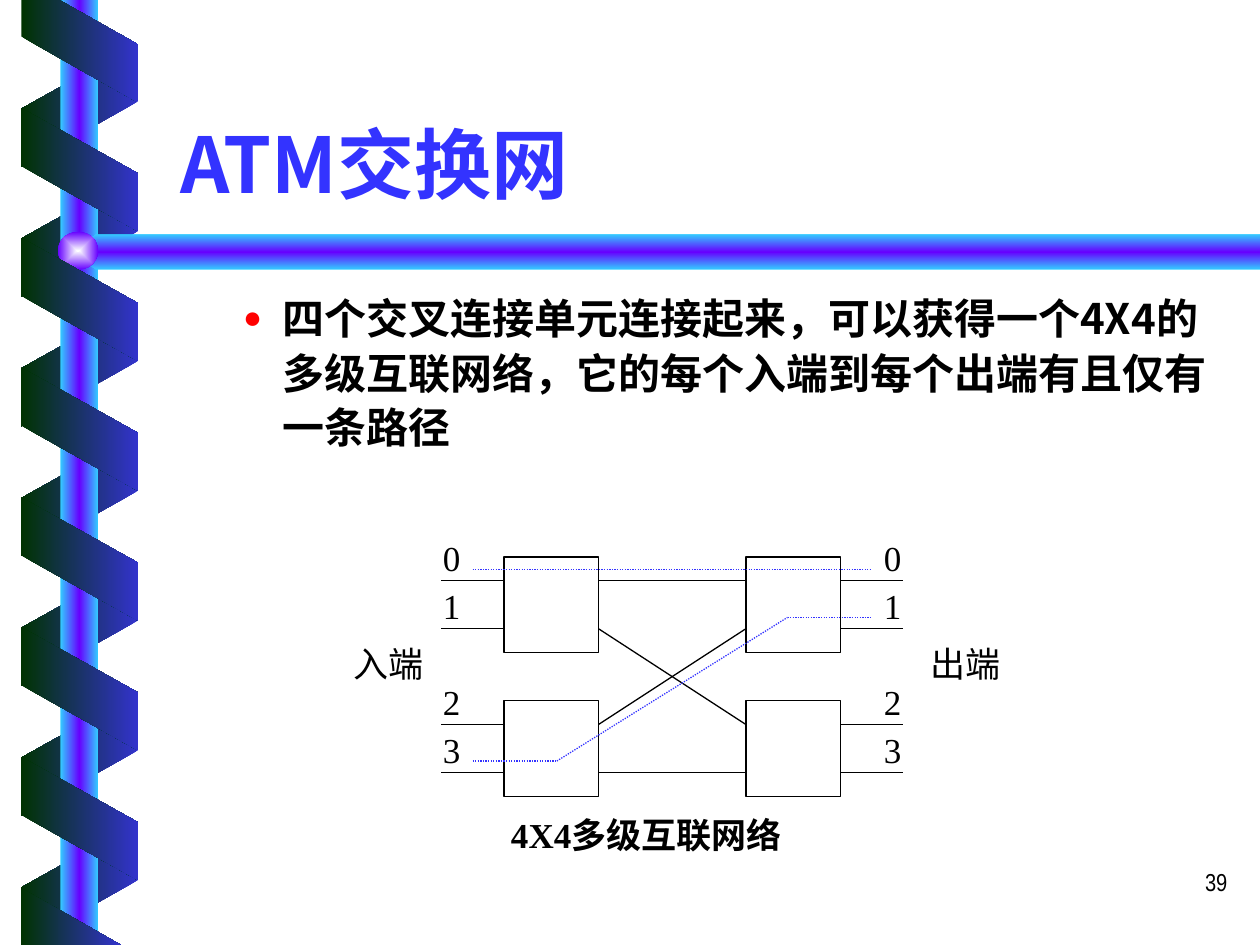
import lxml.etree
import pptx
import pptx.dml.color
import pptx.enum.dml
import pptx.enum.shapes
import pptx.enum.text
import pptx.oxml
import pptx.oxml.ns
import pptx.util

Inches = pptx.util.Inches
Pt = pptx.util.Pt
SHAPE = pptx.enum.shapes.MSO_SHAPE
ALIGN = pptx.enum.text.PP_ALIGN
ANCHOR = pptx.enum.text.MSO_ANCHOR
FIT = pptx.enum.text.MSO_AUTO_SIZE
NS = 'xmlns:a="http://schemas.openxmlformats.org/drawingml/2006/main"'
SANS = "Noto Sans CJK SC"
SERIF = "Times New Roman"
BLACK, BLUE = "000000", "3333FF"
GLOW = ("33CCFF", "6600FF", "33CCFF")
TWIST = ("003300", "3333CC")


def color(code):
    return pptx.dml.color.RGBColor.from_string(code)


def write(frame, text, font=SERIF, size=20, tint=BLACK, bold=False,
          align=ALIGN.LEFT, anchor=ANCHOR.TOP, gap=None, wrap=True):
    frame.word_wrap = wrap
    frame.vertical_anchor = anchor
    if gap is not None:
        frame.margin_left = frame.margin_right = Inches(gap)
        frame.margin_top = frame.margin_bottom = Inches(gap)
    para = frame.paragraphs[0]
    para.alignment = align
    para.space_before = Pt(0)
    run = para.add_run()
    run.text = text
    run.font.name = font
    run.font.size = Pt(size)
    run.font.bold = bold
    run.font.color.rgb = color(tint)
    east = lxml.etree.SubElement(run.font._element, pptx.oxml.ns.qn("a:ea"))
    east.set("typeface", SANS)
    run.font._element.find(pptx.oxml.ns.qn("a:latin")).addnext(east)
    return para


def label(slide, text, x, y, w, h, **style):
    box = slide.shapes.add_textbox(Inches(x), Inches(y), Inches(w), Inches(h))
    write(box.text_frame, text, **style)
    return box


def shade(shape, tones, angle=0, burst=False):
    shape.shadow.inherit = False
    shape.line.fill.background()
    shape.fill.background()
    last = len(tones) - 1
    stops = "".join(
        f'<a:gs pos="{100000 * i // last}"><a:srgbClr val="{tone}"/></a:gs>'
        for i, tone in enumerate(tones))
    way = f'<a:lin ang="{angle * 60000}" scaled="0"/>'
    if burst:
        way = ('<a:path path="rect"><a:fillToRect l="50000" t="50000" '
               'r="50000" b="50000"/></a:path>')
    grad = pptx.oxml.parse_xml(
        f'<a:gradFill {NS} rotWithShape="0"><a:gsLst>{stops}</a:gsLst>{way}</a:gradFill>')
    props = shape.element.spPr
    props.replace(props.find(pptx.oxml.ns.qn("a:noFill")), grad)


def solid(slide, kind, x, y, w, h):
    return slide.shapes.add_shape(kind, Inches(x), Inches(y), Inches(w), Inches(h))


def outline(slide, points, tones, angle=0):
    spots = [(Inches(x), Inches(y)) for x, y in points]
    pen = slide.shapes.build_freeform(*spots[0])
    pen.add_line_segments(spots[1:], close=True)
    shade(pen.convert_to_shape(), tones, angle)


def twist(slide, x, y, back=False):
    band = solid(slide, SHAPE.PARALLELOGRAM, x, y, 0.98, 0.93)
    band.adjustments[0] = 0.56
    band.rotation = 90 if back else 270
    if back:
        band.element.spPr.xfrm.set("flipH", "1")
    shade(band, TWIST[::-1] if back else TWIST)


def spiral(slide, x, y, w, h):
    step = 1.03
    for i in range(7):
        twist(slide, x, y + 0.37 + step * i, back=True)
    shade(solid(slide, SHAPE.RECTANGLE, x + 0.34, y, 0.3, h), GLOW)
    beam(slide, x + 0.46, y + 1.86, w - x - 0.46, 0.28)
    ball = solid(slide, SHAPE.OVAL, x + 0.32, y + 1.84, 0.32, 0.3)
    shade(ball, ("FEFFFF", "6600FF"), burst=True)
    for i in range(6):
        twist(slide, x, y + 0.88 + step * i)
    left, right = x + 0.03, x + 0.95
    outline(slide, [(left, y), (left, y + 0.29), (right, y + 0.81),
                    (right, y + 0.35), (x + 0.33, y)], TWIST)
    outline(slide, [(x + 0.82, h), (left, h - 0.45), (left, h)], TWIST)


def beam(slide, x, y, w, h):
    tip, end = x + 0.16, x + w
    outline(slide, [(end, y), (tip, y), (x, y + h / 2), (tip, y + h), (end, y + h)],
            GLOW, 90)


def place(slide, shape, x, y, w, h):
    shape.left, shape.top = Inches(x), Inches(y)
    shape.width, shape.height = Inches(w), Inches(h)
    slide.shapes.element.append(shape.element)


def head(slide, x, y, w, h):
    title = slide.shapes.title
    place(slide, title, x, y, w, h)
    write(title.text_frame, "ATM交换网", font=SANS, size=44, tint=BLUE,
          bold=True, anchor=ANCHOR.BOTTOM)


def body(slide, x, y, w, h):
    hold = slide.placeholders[1]
    place(slide, hold, x, y, w, h)
    frame = hold.text_frame
    para = frame.paragraphs[0]
    para.level = 1
    props = para._p.get_or_add_pPr()
    props.set("marL", str(Inches(0.81)))
    props.set("indent", str(Inches(-0.31)))
    for tag in ('buClr {}><a:srgbClr val="FF0000"/></a:buClr', 'buSzPct {} val="75000"/',
                'buFont {} typeface="Arial"/', 'buChar {} char="●"/'):
        props.append(pptx.oxml.parse_xml(f"<a:{tag.format(NS)}>"))
    write(frame, "四个交叉连接单元连接起来，可以获得一个4X4的多级互联网络，"
          "它的每个入端到每个出端有且仅有一条路径", font=SANS, size=24, bold=True)
    para.line_spacing = 1.08


def wire(slide, start, end, tint=BLACK, dots=False):
    line = slide.shapes.add_connector(
        pptx.enum.shapes.MSO_CONNECTOR.STRAIGHT, *map(Inches, start + end))
    line.line.color.rgb = color(tint)
    line.line.width = Pt(0.75)
    if dots:
        line.line.dash_style = pptx.enum.dml.MSO_LINE.ROUND_DOT
    lxml.etree.SubElement(line._element.spPr, pptx.oxml.ns.qn("a:effectLst"))


def port(slide, text, x, y, w, h):
    box = label(slide, text, x, y, w, h, anchor=ANCHOR.MIDDLE, gap=0, wrap=False,
                align=ALIGN.CENTER)
    box.text_frame.auto_size = FIT.SHAPE_TO_FIT_TEXT


def net(slide, x, y, w, h):
    side, tall, lead = 0.75, 0.76, 0.5
    cols = (x + 1.25, x + w - 1.33 - side)
    tops = (y + 0.16, y + 1.3)
    rows = [top + drop for top in tops for drop in (0.19, 0.57)]
    inner, outer = cols[0] + side, cols[1] + side
    for col in cols:
        for top in tops:
            cell = solid(slide, SHAPE.RECTANGLE, col, top, side, tall)
            cell.shadow.inherit = False
            cell.fill.background()
            cell.line.color.rgb = color(BLACK)
            cell.line.width = Pt(0.75)
    for start, tab in ((cols[0] - lead, 0), (outer, lead - 0.17)):
        for i, row in enumerate(rows):
            wire(slide, (start, row), (start + lead, row))
            port(slide, str(i), start + tab, row - 0.35, 0.17, 0.33)
    for text, left in (("入端", x), ("出端", x + w - 0.67)):
        port(slide, text, left, y + 0.84, 0.67, 0.33)
    for a, b in enumerate((0, 2, 1, 3)):
        wire(slide, (inner, rows[a]), (cols[1], rows[b]))
    near, far = x + 1, x + 4.17
    up, mid, low = (rows[i] - 0.09 for i in (0, 1, 3))
    bend = [(near, low), (x + 1.67, low), (x + 3.5, mid), (far, mid)]
    for a, b in [((near, up), (far, up)), *zip(bend, bend[1:])]:
        wire(slide, a, b, BLUE, dots=True)
    label(slide, "4X4多级互联网络", x + 0.92, y + h - 0.44, 2.92, 0.44,
          bold=True, align=ALIGN.CENTER)


def main():
    deck = pptx.Presentation()
    deck.slide_width, deck.slide_height = Inches(10), Inches(7.5)
    slide = deck.slides.add_slide(deck.slide_layouts[1])
    spiral(slide, 0.14, 0, 10, 7.5)
    label(slide, "39", 7.76, 6.83, 2.08, 0.5, font="Arial Narrow", size=14,
          align=ALIGN.RIGHT)
    head(slide, 1.33, 0.46, 8.5, 1.25)
    body(slide, 1.33, 2.24, 8.5, 1.91)
    net(slide, 2.75, 4.26, 5.25, 2.59)
    deck.save("out.pptx")


if __name__ == "__main__":
    main()
